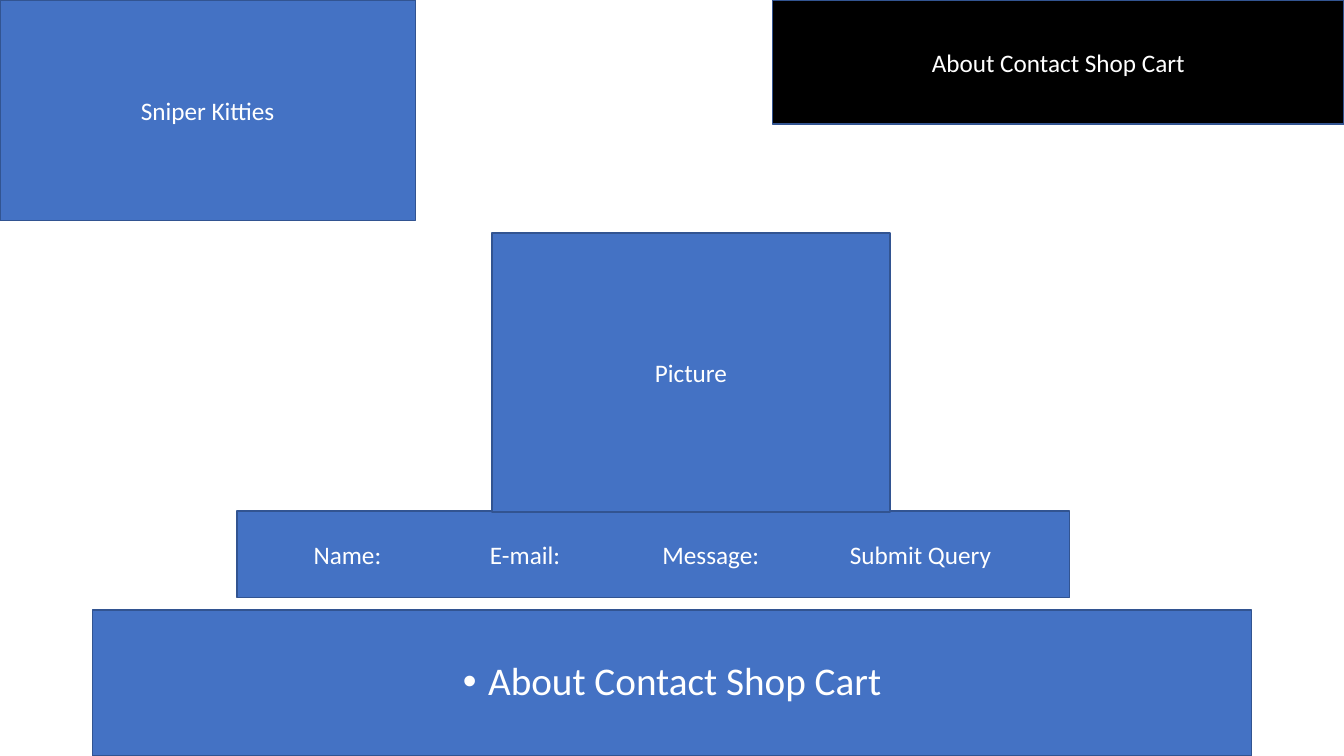
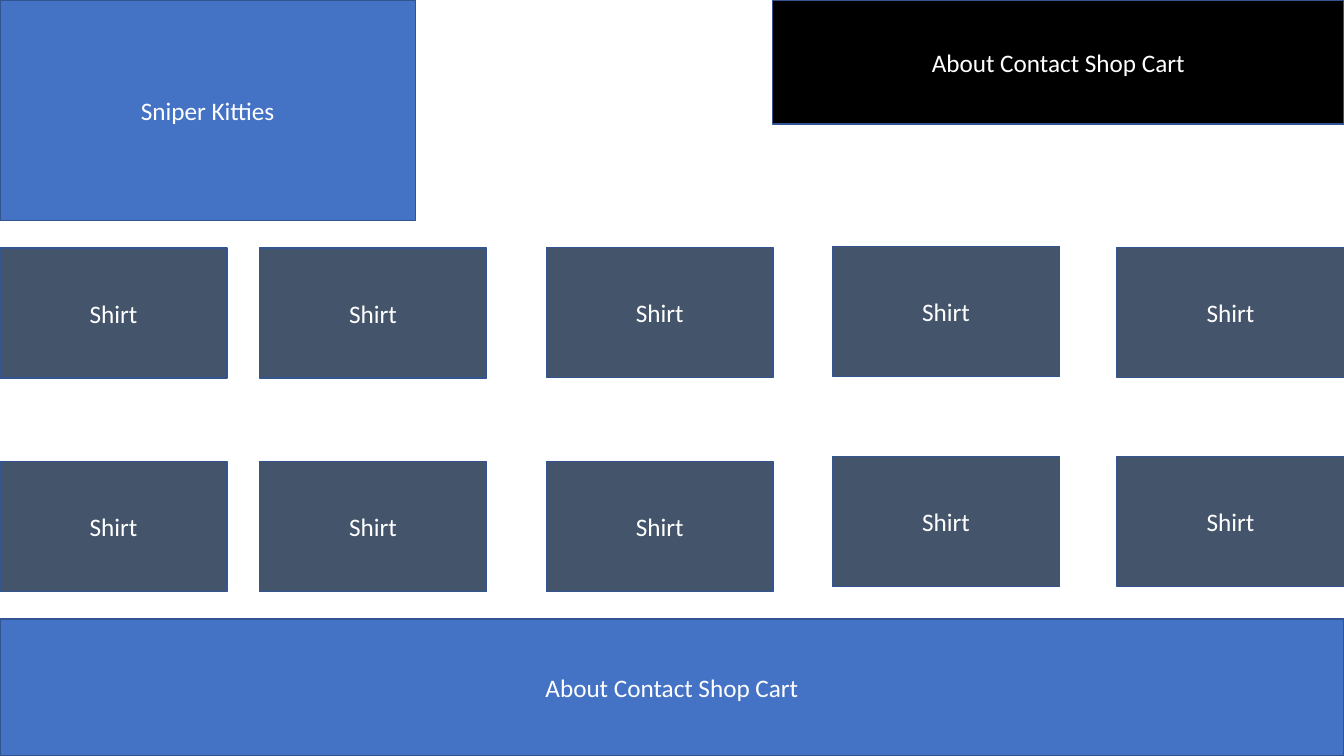
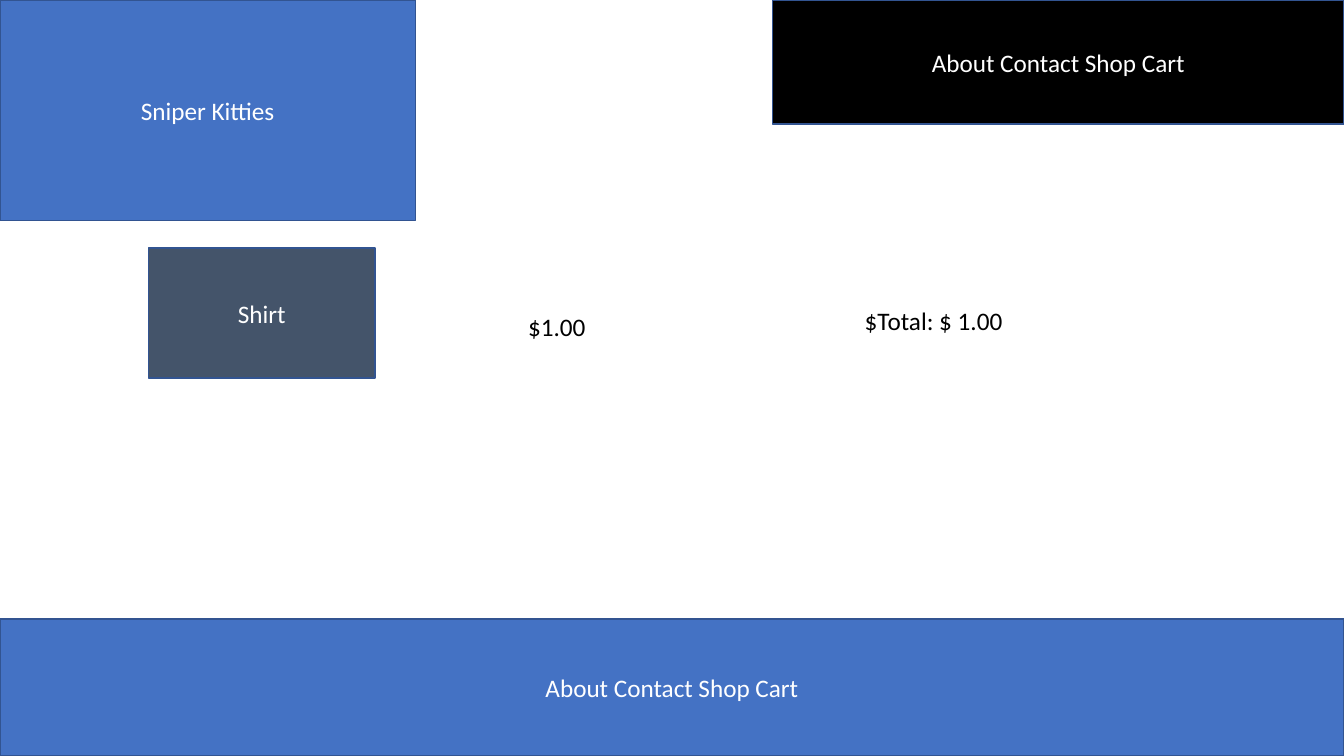
from dataclasses import dataclass

from lxml import etree
from pptx import Presentation
from pptx.dml.color import RGBColor
from pptx.enum.shapes import MSO_SHAPE
from pptx.enum.text import MSO_ANCHOR, MSO_AUTO_SIZE, PP_ALIGN
from pptx.oxml.ns import qn
from pptx.util import Inches, Pt

RECT = MSO_SHAPE.RECTANGLE
LEFT, CENTER = PP_ALIGN.LEFT, PP_ALIGN.CENTER
TOP, MIDDLE = MSO_ANCHOR.TOP, MSO_ANCHOR.MIDDLE
GROW = MSO_AUTO_SIZE.SHAPE_TO_FIT_TEXT


@dataclass(frozen=True)
class Theme:
    font: str = "Calibri"
    blue: str = "4472C4"
    slate: str = "44546A"
    black: str = "000000"
    white: str = "FFFFFF"
    border: str = "325491"
    body: int = 18
    large: int = 28
    line: int = 1


THEME = Theme()
MENU = "About Contact Shop Cart"


def rgb(value):
    return RGBColor.from_string(value)


def write(tf, text, size=THEME.body, color=THEME.white, align=CENTER,
          anchor=MIDDLE, bullet=False, tabs=()):
    """Put one formatted paragraph in a text frame; tabs are in inches."""
    tf.word_wrap = True
    tf.vertical_anchor = anchor
    p = tf.paragraphs[0]
    p.alignment = align
    r = p.add_run()
    r.text = text
    r.font.name = THEME.font
    r.font.size = Pt(size)
    r.font.color.rgb = rgb(color)
    pPr = p._p.get_or_add_pPr()
    if bullet:
        p.line_spacing = 0.9
        p.space_before = Pt(10)
        pPr.set("marL", str(Inches(0.25)))
        pPr.set("indent", str(-Inches(0.25)))
        etree.SubElement(pPr, qn("a:buFont"), typeface="Arial")
        etree.SubElement(pPr, qn("a:buChar"), char="•")
    if tabs:
        stops = etree.SubElement(pPr, qn("a:tabLst"))
        for pos in tabs:
            etree.SubElement(stops, qn("a:tab"), pos=str(Inches(pos)), algn="l")


class Deck:
    """Holds the current slide; all boxes are in percent of the slide size."""

    def __init__(self, prs, theme):
        self.prs, self.theme = prs, theme
        self.s = None

    def place(self, x, y, w, h):
        sw, sh = self.prs.slide_width, self.prs.slide_height
        return [round(v * full / 100)
                for v, full in ((x, sw), (y, sh), (w, sw), (h, sh))]

    def page(self):
        """Start a slide with the shared header."""
        self.s = self.prs.slides.add_slide(self.prs.slide_layouts[6])
        self.block("Sniper Kitties", 0, 0, 30.9, 29.2)
        self.block(MENU, 57.5, 0, 42.5, 16.4, fill=self.theme.black)

    def block(self, text, x, y, w, h, fill=THEME.blue, **fmt):
        sp = self.s.shapes.add_shape(RECT, *self.place(x, y, w, h))
        sp.shadow.inherit = False
        sp.fill.solid()
        sp.fill.fore_color.rgb = rgb(fill)
        sp.line.color.rgb = rgb(self.theme.border)
        sp.line.width = Pt(self.theme.line)
        write(sp.text_frame, text, **fmt)
        return sp

    def footer(self):
        self.block(MENU, 0, 81.9, 100, 18.1)

    def shirt(self, x, y):
        self.block("Shirt", x, y, 16.88, 17.2, fill=self.theme.slate)

    def label(self, text, x, y):
        sp = self.s.shapes.add_textbox(*self.place(x, y, 16.95, 5.33))
        write(sp.text_frame, text, color=self.theme.black, align=LEFT, anchor=TOP)
        sp.text_frame.auto_size = GROW


def contact_page(deck):
    deck.page()
    deck.block(MENU, 6.88, 80.67, 86.25, 19.33, size=deck.theme.large, bullet=True)
    # Contact form fields, lined up on tab stops
    fields = ("Name:", "E-mail:", "Message:", "Submit Query")
    form = deck.block("\t".join(fields), 17.63, 67.6, 61.95, 11.47,
                      align=LEFT, tabs=(1.75, 3.46, 5.32))
    form.text_frame.margin_left = Inches(0.76)
    deck.block("Picture", 36.6, 30.8, 29.63, 36.93)


def shop_page(deck):
    deck.page()
    deck.footer()
    # Each column: left edge, top of the upper and of the lower shirt
    columns = ((0, 32.8, 61.07), (19.32, 32.8, 61.07), (40.65, 32.7, 61.07),
               (61.95, 32.6, 60.4), (83.12, 32.7, 60.4))
    for x, *tops in columns:
        for y in tops:
            deck.shirt(x, y)


def cart_page(deck):
    deck.page()
    deck.footer()
    deck.shirt(11.03, 32.8)
    deck.label("$1.00", 38.55, 40.53)
    deck.label("$Total: $ 1.00", 63.6, 39.73)


def main():
    prs = Presentation()
    prs.slide_width, prs.slide_height = Inches(13.33), Inches(7.5)
    deck = Deck(prs, THEME)
    for build in (contact_page, shop_page, cart_page):
        build(deck)
    prs.save("out.pptx")


if __name__ == "__main__":
    main()
